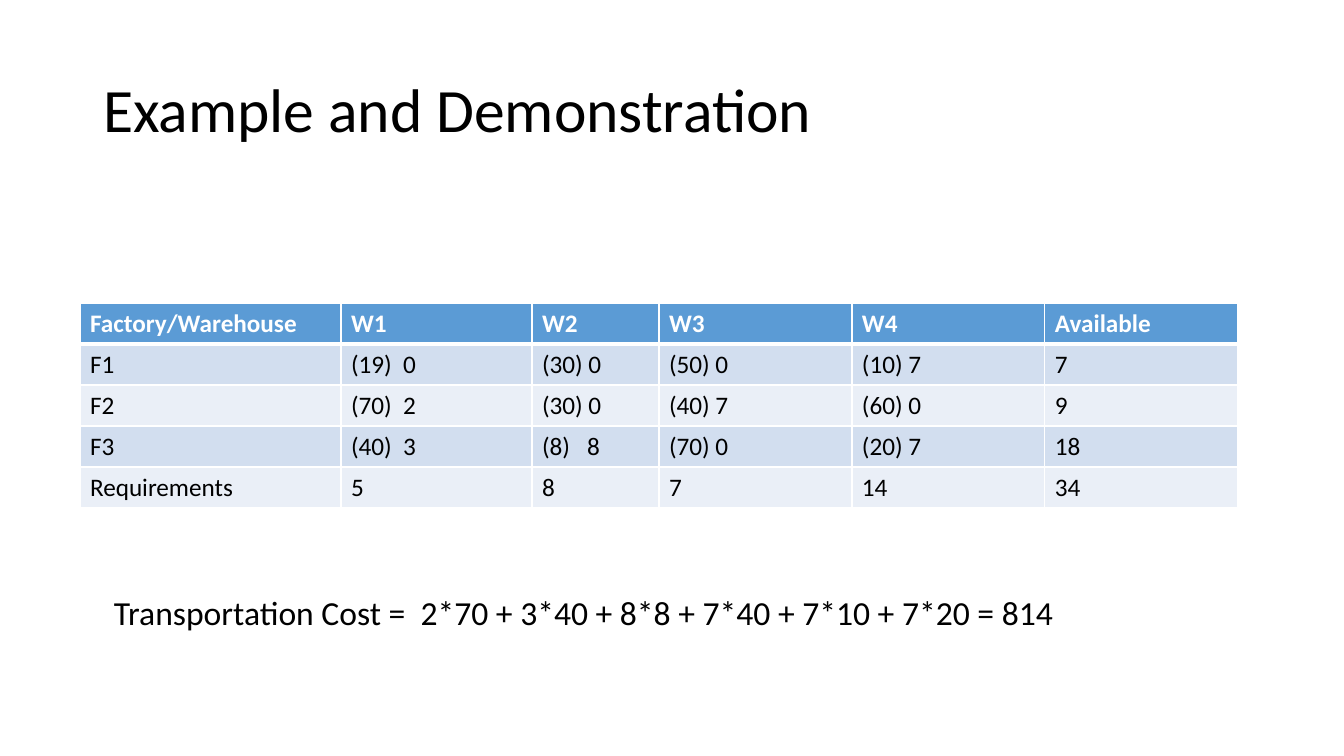
from lxml import etree
from pptx import Presentation
from pptx.dml.color import RGBColor
from pptx.enum import text
from pptx.oxml import ns
from pptx.util import Emu, Pt

BLACK = RGBColor(0x00, 0x00, 0x00)
WHITE = RGBColor(0xFF, 0xFF, 0xFF)
BLUE = RGBColor(0x5B, 0x9B, 0xD5)
BANDS = RGBColor(0xD2, 0xDE, 0xEF), RGBColor(0xEA, 0xEF, 0xF7)

# A pair is a numbered entry: its number, then its text
COLS = [261, 191, 127, 193, 193, 193]
ROWS = [
    ["Factory/Warehouse", "W1", "W2", "W3", "W4", "Available"],
    ["F1", (19, "  0"), "(30) 0", "(50) 0", "(10) 7", "7"],
    ["F2", "(70)  2", (30, " 0"), (40, " 7"), "(60) 0", "9"],
    ["F3", (40, "  3"), "(8)   8", (70, " 0"), "(20) 7", "18"],
    ["Requirements", "5", "8", "7", "14", "34"],
]


def px(n):
    return Emu(round(n * 9144000 / 1008))


class Deck:
    font = "Calibri"

    def __init__(self):
        self.prs = Presentation()
        self.prs.slide_width, self.prs.slide_height = px(1344), px(756)
        self.slide = self.prs.slides.add_slide(self.prs.slide_layouts[5])

    def run(self, para, words, size, color=BLACK, bold=False):
        run = para.add_run()
        run.text = words
        font = run.font
        font.name, font.size, font.bold = self.font, Pt(size), bold
        font.color.rgb = color

    def title(self, words, x, y, w, h):
        shape = self.slide.shapes.title
        shape.left, shape.top, shape.width, shape.height = map(px, (x, y, w, h))
        frame = shape.text_frame
        frame.word_wrap = True
        frame.vertical_anchor = text.MSO_ANCHOR.MIDDLE
        para = frame.paragraphs[0]
        para.alignment = text.PP_ALIGN.LEFT
        para.line_spacing = 0.9
        self.run(para, words, 44)

    def note(self, words, x, y, w, h):
        box = self.slide.shapes.add_textbox(*map(px, (x, y, w, h)))
        box.text_frame.word_wrap = True
        self.run(box.text_frame.paragraphs[0], words, 24)

    def number(self, para, start):
        props = para._p.get_or_add_pPr()
        props.set("marL", str(px(38)))
        props.set("indent", str(-px(38)))
        etree.SubElement(props, ns.qn("a:buAutoNum"),
                         type="arabicParenBoth", startAt=str(start))

    def border(self, cell, widths):
        props = cell._tc.get_or_add_tcPr()
        for i, (side, width) in enumerate(zip("LRTB", widths)):
            line = etree.Element(ns.qn(f"a:ln{side}"), w=str(Pt(width)))
            fill = etree.SubElement(line, ns.qn("a:solidFill"))
            etree.SubElement(fill, ns.qn("a:srgbClr"), val=str(WHITE))
            props.insert(i, line)

    def table(self, rows, cols, x, y, high):
        size = map(px, (x, y, sum(cols), high * len(rows)))
        grid = self.slide.shapes.add_table(len(rows), len(cols), *size).table
        grid.horz_banding = False
        for col, width in zip(grid.columns, cols):
            col.width = px(width)
        for r, row in enumerate(rows):
            grid.rows[r].height = px(high)
            head = r == 0
            for c, entry in enumerate(row):
                cell = grid.cell(r, c)
                cell.fill.solid()
                cell.fill.fore_color.rgb = BLUE if head else BANDS[(r - 1) % 2]
                self.border(cell, (1, 1, 3 if r == 1 else 1, 3 if head else 1))
                para = cell.text_frame.paragraphs[0]
                if isinstance(entry, tuple):
                    start, entry = entry
                    self.number(para, start)
                self.run(para, entry, 18, WHITE if head else BLACK, head)


def main():
    deck = Deck()
    # Heading
    deck.title("Example and Demonstration", 93, 40, 1159, 146)
    # Allocation table
    deck.table(ROWS, COLS, 80, 303, 41)
    # Total cost
    deck.note("Transportation Cost =  2*70 + 3*40 + 8*8 + 7*40 + 7*10 + 7*20 = 814",
              104, 587, 1007, 50)
    deck.prs.save("out.pptx")


if __name__ == "__main__":
    main()
